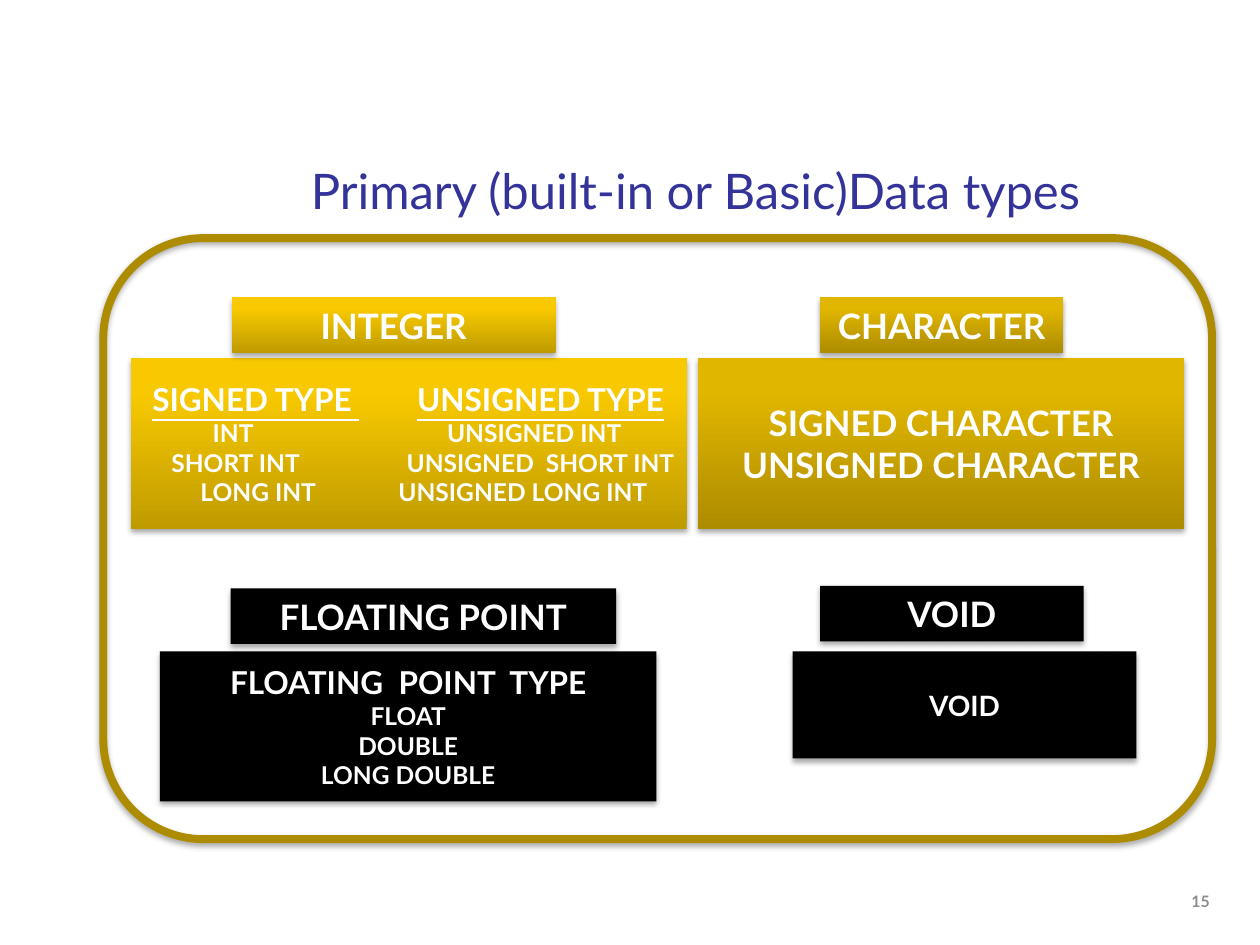
import copy
from dataclasses import dataclass
from typing import Optional

import lxml.etree
import pptx
import pptx.dml.color
import pptx.enum.shapes
import pptx.enum.text
import pptx.oxml.ns
import pptx.util

FONT = "Lato"
COLUMNS, ROWS = 100, 75
AMBER = ("BF9B00", "F8C900", "F9CA00")
OCHRE = ("AD8C00", "E1B600", "E2B700")
BLACK = ("000000",)
STOPS = (0, 0.8, 1)
ALIGN = pptx.enum.text.PP_ALIGN
SHAPE = pptx.enum.shapes.MSO_SHAPE


@dataclass(frozen=True)
class Area:
    column: float
    row: float
    columns: float
    rows: float


@dataclass(frozen=True)
class Span:
    text: str
    size: float
    bold: bool = True
    underline: bool = False
    colour: str = "FFFFFF"


@dataclass(frozen=True)
class Line:
    spans: tuple[Span, ...]
    align: ALIGN = ALIGN.CENTER
    centres: tuple[float, ...] = ()


@dataclass(frozen=True)
class Panel:
    area: Area
    colours: tuple[str, ...]
    lines: tuple[Line, ...]


def rgb(colour: str) -> pptx.dml.color.RGBColor:
    return pptx.dml.color.RGBColor.from_string(colour)


def line(text: str, size: float) -> Line:
    return Line((Span(text, size),))


def pair(signed: str, unsigned: str, centres: tuple[float, float],
         size: float = 14, underline: bool = False) -> Line:
    spans = (Span("\t", 14), Span(signed, size, underline=underline),
             Span("\t", 14), Span(unsigned, size, underline=underline))
    return Line(spans, ALIGN.LEFT, centres)


PANELS = (
    Panel(Area(10.4, 28.4, 44.1, 13.6), AMBER, (
        pair("SIGNED TYPE ", "UNSIGNED TYPE", (9.9, 32.5), 18, True),
        pair("INT", "UNSIGNED INT", (8.1, 32)),
        pair("SHORT INT", "UNSIGNED  SHORT INT", (8.3, 32.5)),
        pair("LONG INT", "UNSIGNED LONG INT", (10.1, 31.1)))),
    Panel(Area(55.4, 28.4, 38.6, 13.6), OCHRE,
          (line("SIGNED CHARACTER", 20), line("UNSIGNED CHARACTER", 20))),
    Panel(Area(12.7, 51.7, 39.4, 11.9), BLACK, (
        line("FLOATING  POINT  TYPE", 18), line("FLOAT", 14),
        line("DOUBLE", 14), line("LONG DOUBLE", 14))),
    Panel(Area(62.9, 51.7, 27.3, 8.5), BLACK, (line("VOID", 16),)),
    Panel(Area(18.4, 23.6, 25.7, 4.4), AMBER, (line("INTEGER", 20),)),
    Panel(Area(65.1, 23.6, 19.3, 4.4), OCHRE, (line("CHARACTER", 20),)),
    Panel(Area(18.3, 46.7, 30.6, 4.4), BLACK, (line("FLOATING POINT", 20),)),
    Panel(Area(65.1, 46.5, 20.9, 4.4), BLACK, (line("VOID", 20),)),
)


class Canvas:
    def __init__(self) -> None:
        self.deck = pptx.Presentation()
        self.deck.slide_width = pptx.util.Inches(10)
        self.deck.slide_height = pptx.util.Inches(7.5)
        self.page = self.deck.slides.add_slide(self.deck.slide_layouts[6])

    def across(self, columns: float) -> int:
        return round(self.deck.slide_width * columns / COLUMNS)

    def down(self, rows: float) -> int:
        return round(self.deck.slide_height * rows / ROWS)

    def place(self, area: Area) -> tuple[int, int, int, int]:
        return (self.across(area.column), self.down(area.row),
                self.across(area.columns), self.down(area.rows))

    def fill_text(self, box, lines: tuple[Line, ...]) -> None:
        frame = box.text_frame
        frame.word_wrap = True
        frame.vertical_anchor = pptx.enum.text.MSO_ANCHOR.MIDDLE
        frame.margin_left = frame.margin_right = 0
        frame.margin_top = frame.margin_bottom = 0
        for index, row in enumerate(lines):
            para = frame.add_paragraph() if index else frame.paragraphs[0]
            para.alignment = row.align
            if row.centres:
                self.add_tabs(para, row.centres)
            for item in row.spans:
                span = para.add_run()
                span.text = item.text
                span.font.name = FONT
                span.font.size = pptx.util.Pt(item.size)
                span.font.bold = item.bold
                span.font.underline = item.underline
                span.font.color.rgb = rgb(item.colour)

    def add_tabs(self, para, centres: tuple[float, ...]) -> None:
        qn = pptx.oxml.ns.qn
        tabs = lxml.etree.SubElement(para._p.get_or_add_pPr(), qn("a:tabLst"))
        for centre in centres:
            lxml.etree.SubElement(tabs, qn("a:tab"),
                                  pos=str(self.across(centre)), algn="ctr")

    def add_text(self, area: Area, row: Line) -> None:
        self.fill_text(self.page.shapes.add_textbox(*self.place(area)), (row,))

    def add_shape(self, kind: SHAPE, area: Area, colours: tuple[str, ...] = (),
                  outline: Optional[str] = None):
        box = self.page.shapes.add_shape(kind, *self.place(area))
        paint(box, colours)
        if outline:
            box.line.color.rgb = rgb(outline)
            box.line.width = pptx.util.Pt(4.5)
        else:
            box.line.fill.background()
        cast_shadow(box)
        return box


def paint(box, colours: tuple[str, ...]) -> None:
    if not colours:
        box.fill.background()
    elif len(colours) == 1:
        box.fill.solid()
        box.fill.fore_color.rgb = rgb(colours[0])
    else:
        box.fill.gradient()
        box.fill.gradient_angle = 90
        stops = box._element.spPr.find(".//" + pptx.oxml.ns.qn("a:gsLst"))
        stops.append(copy.deepcopy(stops[-1]))
        for stop, colour, position in zip(box.fill.gradient_stops, colours, STOPS):
            stop.color.rgb = rgb(colour)
            stop.position = position


def cast_shadow(box) -> None:
    qn = pptx.oxml.ns.qn
    box.shadow.inherit = False
    effects = box._element.spPr.find(qn("a:effectLst"))
    shadow = lxml.etree.SubElement(
        effects, qn("a:outerShdw"), blurRad=str(pptx.util.Pt(3.1)),
        dist=str(pptx.util.Pt(1.8)), dir="5400000", rotWithShape="0")
    colour = lxml.etree.SubElement(shadow, qn("a:srgbClr"), val="000000")
    lxml.etree.SubElement(colour, qn("a:alpha"), val="35000")


def main() -> None:
    canvas = Canvas()
    title = Span("Primary (built-in or Basic)Data types", 28, False, colour="333399")
    canvas.add_text(Area(22.7, 11.6, 65, 6.9), Line((title,)))
    number = Span("15", 9, colour="8C8C8C")
    canvas.add_text(Area(92.1, 69.5, 3.9, 4), Line((number,), ALIGN.RIGHT))
    for panel in PANELS:
        box = canvas.add_shape(SHAPE.RECTANGLE, panel.area, panel.colours)
        canvas.fill_text(box, panel.lines)
    canvas.add_shape(SHAPE.ROUNDED_RECTANGLE, Area(8.2, 18.9, 88, 47.7),
                     outline="AD8C01")
    canvas.deck.save("out.pptx")


if __name__ == "__main__":
    main()
